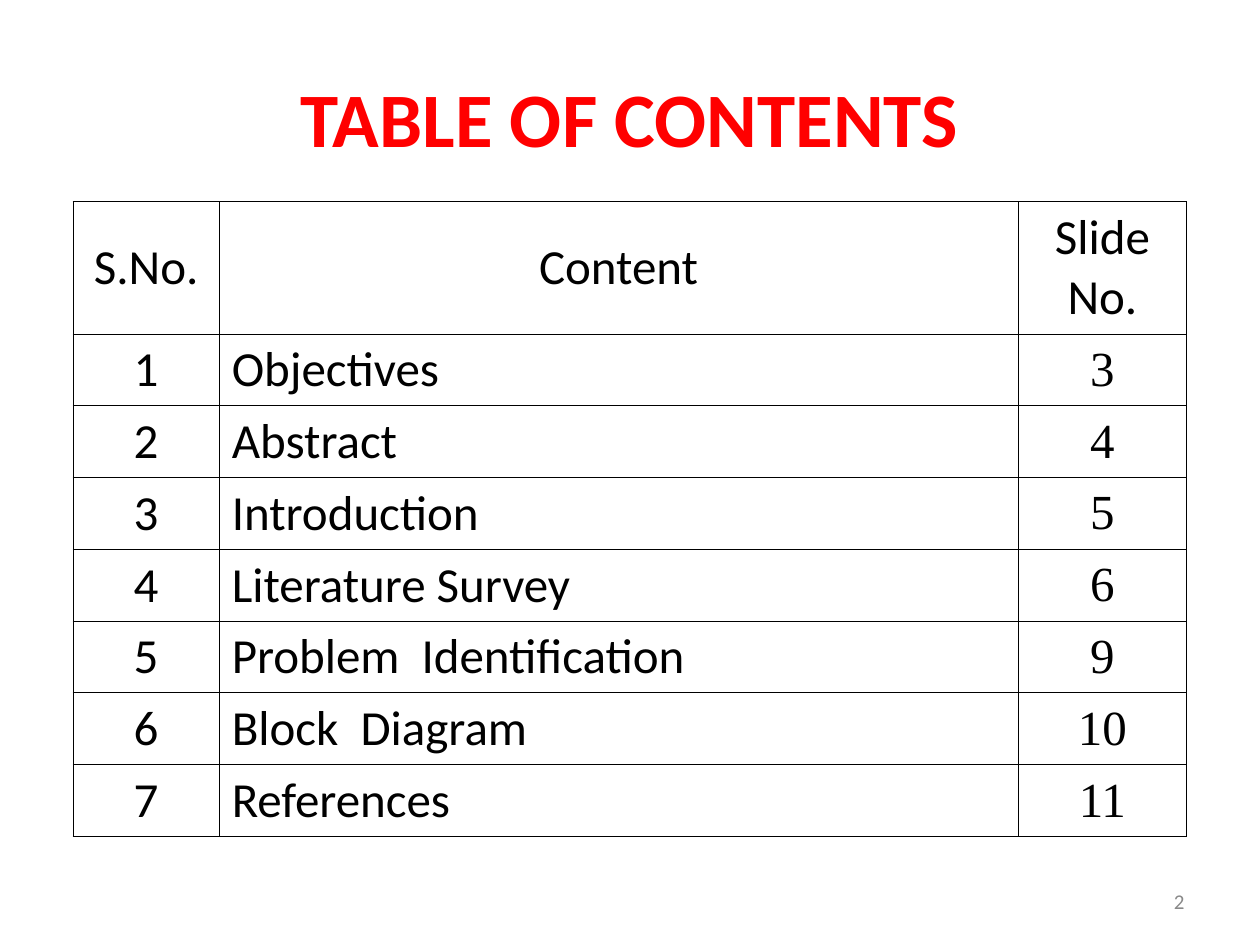
from lxml import etree
from pptx import Presentation
from pptx.dml.color import RGBColor
from pptx.enum.text import MSO_ANCHOR, PP_ALIGN
from pptx.oxml.ns import qn
from pptx.util import Inches, Pt

LEFT, CENTER, RIGHT = PP_ALIGN.LEFT, PP_ALIGN.CENTER, PP_ALIGN.RIGHT
TOP, MIDDLE = MSO_ANCHOR.TOP, MSO_ANCHOR.MIDDLE
RED = RGBColor(0xFF, 0x00, 0x00)
GRAY = RGBColor(0x89, 0x89, 0x89)
BLACK = RGBColor(0x00, 0x00, 0x00)
SANS = "Calibri"
SERIF = "Times New Roman"

HEADER = ("S.No.", "Content", "Slide No.")
CONTENTS = (
    ("Objectives", 3),
    ("Abstract", 4),
    ("Introduction", 5),
    ("Literature Survey", 6),
    ("Problem  Identification", 9),
    ("Block  Diagram", 10),
    ("References", 11),
)
HEADER_STYLES = ((CENTER, MIDDLE, SANS),) * 3
ENTRY_STYLES = ((CENTER, TOP, SANS), (LEFT, TOP, SANS), (CENTER, MIDDLE, SERIF))
COLUMN_WIDTHS = (1.16, 6.34, 1.34)
HEADER_HEIGHT, ENTRY_HEIGHT = 1.05, 0.57


class SlideBuilder:
    def __init__(self, presentation):
        self.slide = presentation.slides.add_slide(presentation.slide_layouts[5])

    def set_text(self, frame, text, size, color, align, font=SANS, bold=False):
        paragraph = frame.paragraphs[0]
        paragraph.text = text
        paragraph.alignment = align
        paragraph.font.name = font
        paragraph.font.size = Pt(size)
        paragraph.font.bold = bold
        paragraph.font.color.rgb = color

    def title(self, text, left, top, width, height):
        heading = self.slide.shapes.title
        heading.left, heading.top = Inches(left), Inches(top)
        heading.width, heading.height = Inches(width), Inches(height)
        heading.text_frame.vertical_anchor = MIDDLE
        self.set_text(heading.text_frame, text, 44, RED, CENTER, bold=True)

    def page_number(self, text, left, top, width, height):
        frame = self.slide.shapes.add_textbox(
            Inches(left), Inches(top), Inches(width), Inches(height)
        ).text_frame
        frame.word_wrap = True
        frame.vertical_anchor = MIDDLE
        self.set_text(frame, text, 12, GRAY, RIGHT)

    def border(self, cell):
        properties = cell._tc.get_or_add_tcPr()
        for side in ("a:lnL", "a:lnR", "a:lnT", "a:lnB"):
            line = etree.SubElement(properties, qn(side), w=str(Pt(0.45)))
            fill = etree.SubElement(line, qn("a:solidFill"))
            etree.SubElement(fill, qn("a:srgbClr"), val=str(BLACK))

    def table(self, rows, left, top):
        height = HEADER_HEIGHT + ENTRY_HEIGHT * (len(rows) - 1)
        contents = self.slide.shapes.add_table(
            len(rows), len(COLUMN_WIDTHS), Inches(left), Inches(top),
            Inches(sum(COLUMN_WIDTHS)), Inches(height),
        ).table
        for column, width in zip(contents.columns, COLUMN_WIDTHS):
            column.width = Inches(width)
        for index, values in enumerate(rows):
            is_header = index == 0
            contents.rows[index].height = Inches(HEADER_HEIGHT if is_header else ENTRY_HEIGHT)
            styles = HEADER_STYLES if is_header else ENTRY_STYLES
            for cell, value, (align, anchor, font) in zip(contents.rows[index].cells, values, styles):
                self.border(cell)
                cell.fill.background()
                cell.vertical_anchor = anchor
                self.set_text(cell.text_frame, str(value), 28, BLACK, align, font)


def main():
    presentation = Presentation()
    presentation.slide_width = Inches(10)
    presentation.slide_height = Inches(7.5)
    builder = SlideBuilder(presentation)
    builder.title("TABLE OF CONTENTS", 0.5, 0.3, 9, 1.25)
    builder.page_number("2", 7.17, 6.95, 2.33, 0.4)
    entries = [(number, *entry) for number, entry in enumerate(CONTENTS, start=1)]
    builder.table([HEADER, *entries], 0.58, 1.6)
    presentation.save("out.pptx")


if __name__ == "__main__":
    main()
